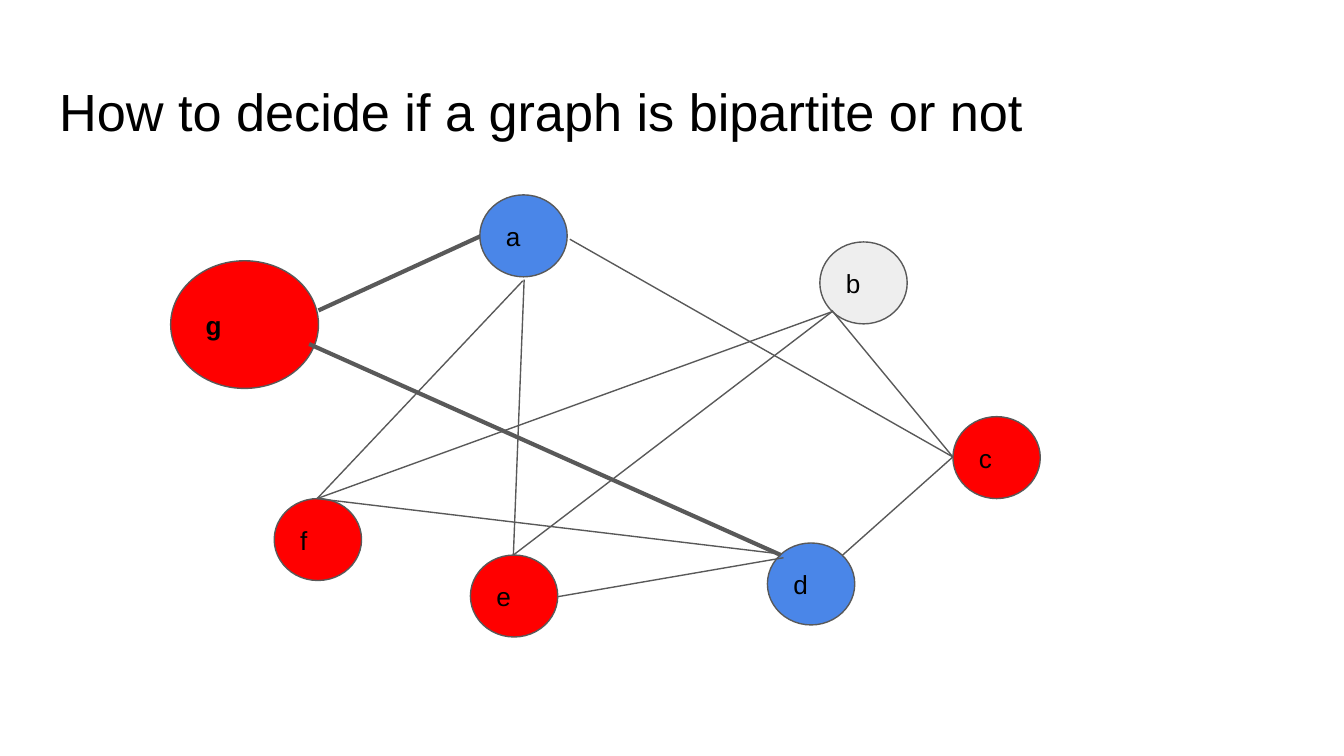
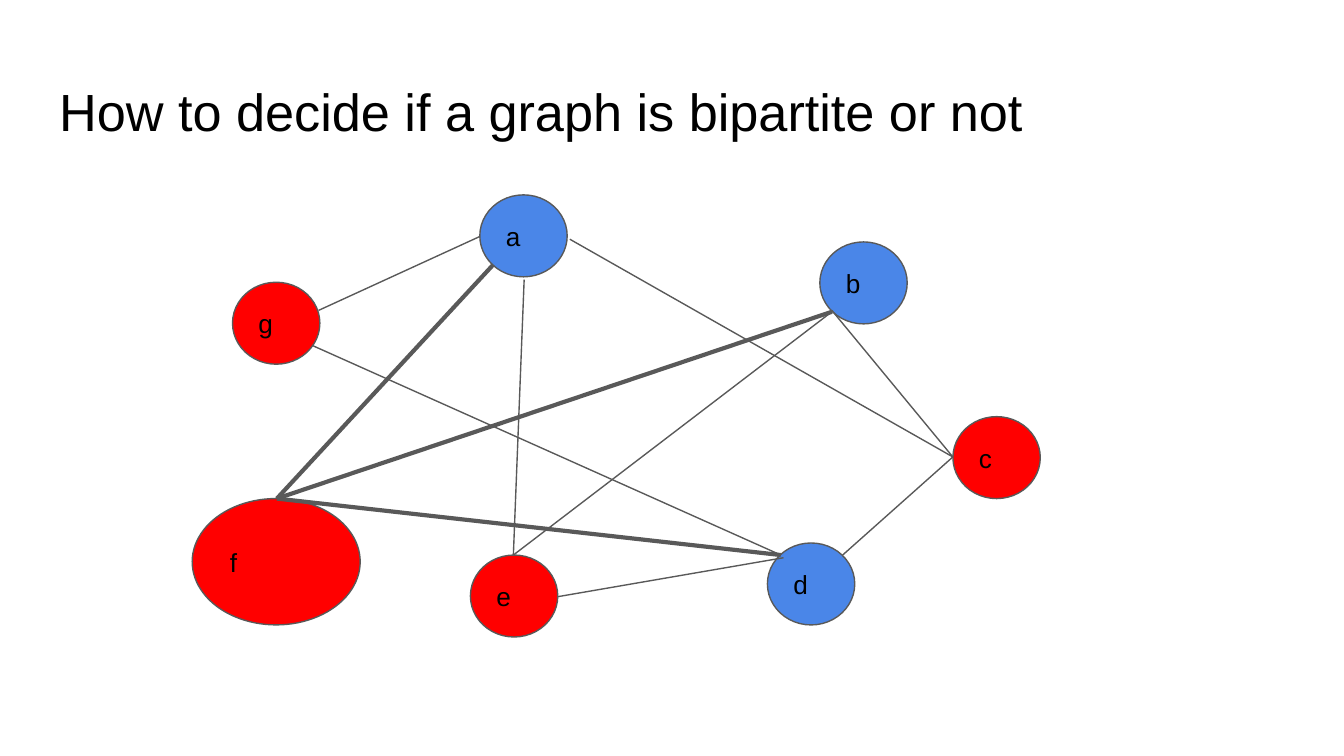
from dataclasses import dataclass

from lxml import etree
from pptx import Presentation
from pptx.dml.color import RGBColor
from pptx.enum.shapes import MSO_CONNECTOR as LINK, MSO_SHAPE as SHAPE
from pptx.enum.text import MSO_ANCHOR as ANCHOR, MSO_AUTO_SIZE as FIT, PP_ALIGN as ALIGN
from pptx.oxml.ns import qn
from pptx.util import Inches, Pt


@dataclass(frozen=True)
class Theme:
    font: str = "Arial"
    ink: str = "000000"
    edge: str = "595959"
    blue: str = "4A86E8"
    red: str = "FF0000"
    uncoloured: str = "EEEEEE"
    title_size: float = 28
    label_size: float = 14
    thin: float = 0.75
    thick: float = 2.25


theme = Theme()


def rgb(value):
    return RGBColor.from_string(value)


def write(shape, text, size=theme.label_size, bold=False, anchor=ANCHOR.MIDDLE):
    frame = shape.text_frame
    frame.word_wrap = True
    frame.auto_size = FIT.NONE
    frame.vertical_anchor = anchor
    frame.margin_left = frame.margin_right = Inches(0.1)
    frame.margin_top = frame.margin_bottom = Inches(0.1)
    line = frame.paragraphs[0]
    line.alignment = ALIGN.LEFT
    run = line.add_run()
    run.text = text
    run.font.name = theme.font
    run.font.size = Pt(size)
    run.font.bold = bold
    run.font.color.rgb = rgb(theme.ink)


# Vertices: left and top; all share one size unless a step enlarges one
vertex_size = (0.65, 0.61)
vertices = {
    "a": (3.57, 1.45),
    "b": (6.1, 1.8),
    "g": (1.73, 2.1),
    "f": (2.04, 3.71),
    "e": (3.5, 4.13),
    "d": (5.71, 4.04),
    "c": (7.09, 3.1),
}

# Edges: named by the two vertices they join
edges = {
    "ga": ((2.37, 2.31), (3.57, 1.76)),
    "ac": ((4.24, 1.78), (7.09, 3.4)),
    "af": ((3.89, 2.09), (2.36, 3.71)),
    "ae": ((3.9, 2.08), (3.82, 4.13)),
    "bc": ((6.19, 2.31), (7.09, 3.4)),
    "be": ((6.19, 2.32), (3.82, 4.13)),
    "bf": ((6.19, 2.32), (2.36, 3.71)),
    "gd": ((2.3, 2.56), (5.81, 4.13)),
    "dc": ((6.27, 4.13), (7.09, 3.4)),
    "df": ((5.79, 4.12), (2.36, 3.71)),
    "de": ((5.83, 4.15), (4.15, 4.44)),
}

# Steps: the visited vertex is enlarged and its edges are thick
steps = [
    {"visited": "g", "box": (1.27, 1.94, 1.1, 0.95), "bold": "g",
     "blue": "ad", "red": "gfec", "front": "", "moved": {}},
    {"visited": "f", "box": (1.43, 3.71, 1.25, 0.94), "bold": "",
     "blue": "abd", "red": "gfec", "front": "g",
     "moved": {"af": ((3.67, 1.97), (2.06, 3.71)),
               "bf": ((6.19, 2.32), (2.06, 3.71)),
               "df": ((5.81, 4.13), (2.06, 3.71))}},
]

# Widescreen deck, 16:9
deck = Presentation()
deck.slide_width = Inches(10)
deck.slide_height = deck.slide_width * 9 // 16
title_only = deck.slide_layouts[5]

for step in steps:
    slide = deck.slides.add_slide(title_only)

    # Title
    title = slide.shapes.title
    title.left, title.top = Inches(0.34), Inches(0.49)
    title.width, title.height = Inches(9.32), Inches(0.63)
    write(title, "How to decide if a graph is bipartite or not",
          size=theme.title_size, anchor=ANCHOR.TOP)

    # Back to front: vertices, edges, then any vertex that covers its edges
    back = [name for name in vertices if name not in step["front"]]
    for name in [*back, *edges, *step["front"]]:
        if name in edges:
            start, end = step["moved"].get(name, edges[name])
            edge = slide.shapes.add_connector(
                LINK.STRAIGHT, *(Inches(value) for value in (*start, *end)))
            edge.line.color.rgb = rgb(theme.edge)
            edge.line.width = Pt(theme.thick if step["visited"] in name else theme.thin)
            etree.SubElement(edge.element.spPr, qn("a:effectLst"))
            continue

        box = step["box"] if name == step["visited"] else (*vertices[name], *vertex_size)
        vertex = slide.shapes.add_shape(
            SHAPE.FLOWCHART_CONNECTOR, *(Inches(value) for value in box))
        vertex.shadow.inherit = False
        if name in step["blue"]:
            colour = theme.blue
        elif name in step["red"]:
            colour = theme.red
        else:
            colour = theme.uncoloured
        vertex.fill.solid()
        vertex.fill.fore_color.rgb = rgb(colour)
        vertex.line.color.rgb = rgb(theme.edge)
        vertex.line.width = Pt(theme.thin)
        write(vertex, name, bold=name in step["bold"])

deck.save("out.pptx")
